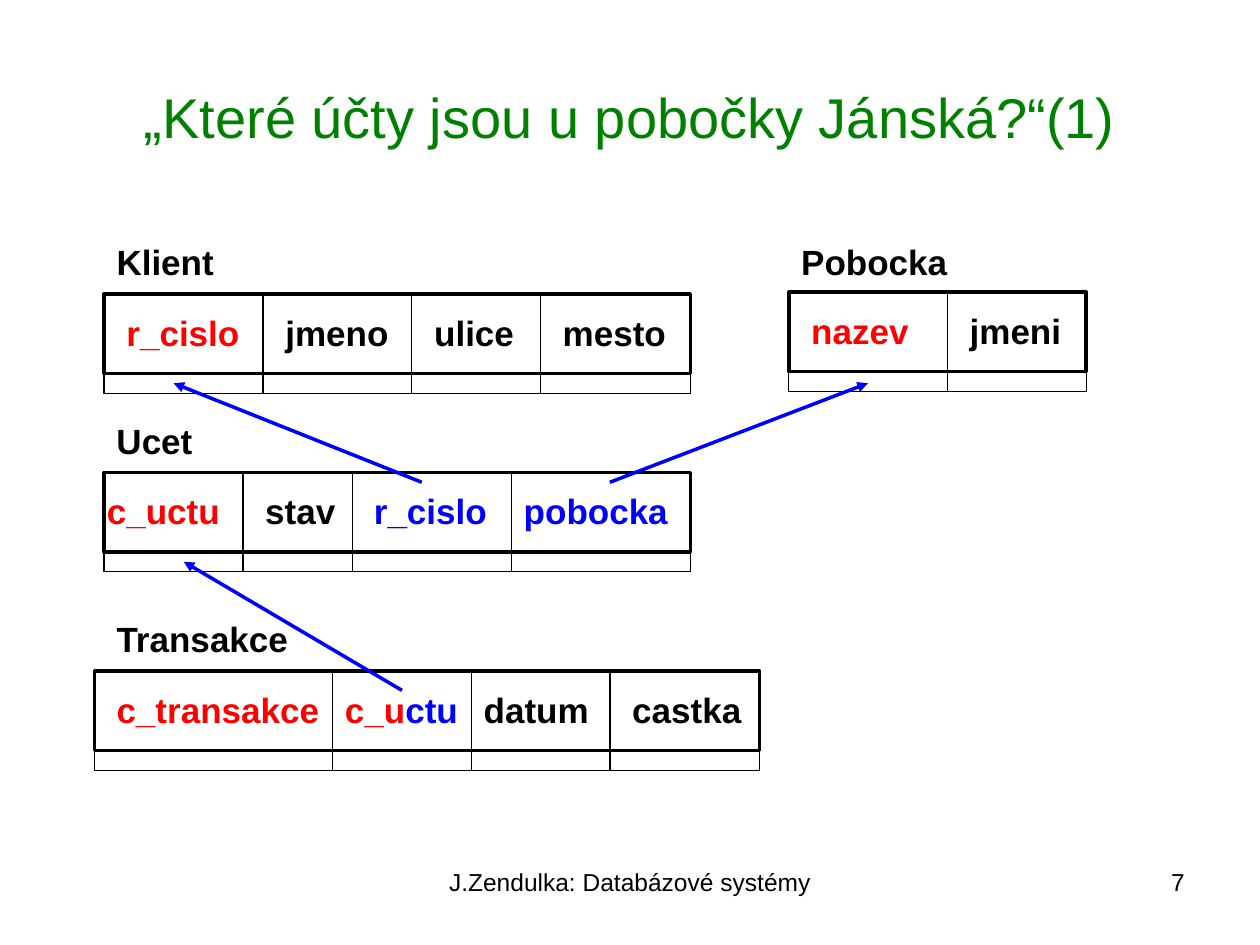
from lxml import etree
from pptx import Presentation
from pptx.dml.color import RGBColor
from pptx.enum.shapes import MSO_CONNECTOR, MSO_SHAPE
from pptx.enum.text import MSO_ANCHOR, MSO_AUTO_SIZE, PP_ALIGN
from pptx.oxml.ns import qn
from pptx.util import Pt

LINE = MSO_CONNECTOR.STRAIGHT
RECT = MSO_SHAPE.RECTANGLE
MIDDLE = MSO_ANCHOR.MIDDLE
GROW = MSO_AUTO_SIZE.SHAPE_TO_FIT_TEXT
LEFT, CENTER, RIGHT = PP_ALIGN.LEFT, PP_ALIGN.CENTER, PP_ALIGN.RIGHT

BLACK, RED, BLUE, GREEN = "000000", "FF0000", "0000FF", "008000"
HEAD, ROW = 45.4, 11.3  # heights of the header and of the empty row
BOLD = {"name": "Arial", "size": Pt(20), "bold": True}
PLAIN = {"name": "Arial", "size": Pt(14), "bold": False}
TITLE = {"name": "Arial", "size": Pt(32), "bold": False}


def color(text):
    return RGBColor.from_string(text)


def write(shape, runs, form, align=LEFT):
    """Fill a shape with one paragraph of (text, colour) runs."""
    para = shape.text_frame.paragraphs[0]
    para.alignment = align
    for text, tint in runs:
        run = para.add_run()
        run.text = text
        run.font.color.rgb = color(tint)
        for key, value in form.items():
            setattr(run.font, key, value)


prs = Presentation()
prs.slide_width, prs.slide_height = Pt(720), Pt(540)
slide = prs.slides.add_slide(prs.slide_layouts[5])
shapes = slide.shapes

title = shapes.title
title.left, title.top, title.width, title.height = Pt(36), Pt(21.6), Pt(648), Pt(90)
title.text_frame.vertical_anchor = MIDDLE
write(title, [("„Které účty jsou u pobočky Jánská?“(1)", GREEN)], TITLE, CENTER)

for text, left, width, align in [
    ("J.Zendulka: Databázové systémy", 246, 228, CENTER),
    ("7", 516, 168, RIGHT),
]:
    box = shapes.add_textbox(Pt(left), Pt(492), Pt(width), Pt(37.4))
    box.text_frame.word_wrap = True
    write(box, [(text, BLACK)], PLAIN, align)

# name, name top, name width, left, top, width, dividers, columns (left, width, runs)
tables = [
    ("Klient", 134, 73.4, 59.5, 168, 335, [150.3, 235.3, 308.8], [
        (65.2, 80, [("r_cislo", RED)]),
        (156, 75, [("jmeno", BLACK)]),
        (241, 62, [("ulice", BLACK)]),
        (314.5, 75, [("mesto", BLACK)])]),
    ("Pobocka", 134, 102.2, 450.7, 167, 170, [541.5], [
        (456.5, 72, [("nazev", RED)]),
        (547, 68, [("jmeni", BLACK)])]),
    ("Ucet", 236, 62.6, 59.5, 270, 335, [138.8, 201.4, 292.2], [
        (54, 80, [("c_uctu", RED)]),
        (144.5, 56, [("stav", BLACK)]),
        (206.6, 80, [("r_cislo", BLUE)]),
        (292.2, 98, [("pobocka", BLUE)])]),
    ("Transakce", 349.5, 118.8, 54, 383.5, 380, [190, 269.3, 348.5], [
        (59.5, 132, [("c_transakce", RED)]),
        (190, 80, [("c_u", RED), ("ctu", BLUE)]),
        (269.3, 76, [("datum", BLACK)]),
        (354.2, 78, [("castka", BLACK)])]),
]

# from x, from y, to x, to y, colour, weight, arrow
lines = []
for name, high, span, left, top, width, cuts, cols in tables:
    for y, height, weight in [(top, HEAD, 2), (top + HEAD, ROW, 0.75)]:
        frame = shapes.add_shape(RECT, Pt(left), Pt(y), Pt(width), Pt(height))
        frame.shadow.inherit = False
        frame.fill.background()
        frame.line.color.rgb = color(BLACK)
        frame.line.width = Pt(weight)
    label = (max(left, 59.5), high, span, [(name, BLACK)], True)
    cells = [(x, top + 6.3, w, runs, False) for x, w, runs in cols]
    for x, y, w, runs, wrap in [label] + cells:
        box = shapes.add_textbox(Pt(x), Pt(y), Pt(w), Pt(31.5))
        box.text_frame.word_wrap = wrap
        box.text_frame.auto_size = GROW
        write(box, runs, BOLD)
    lines += [(x, top, x, top + HEAD + ROW, BLACK, 0.75, False) for x in cuts]

lines += [
    (229.7, 394.5, 105, 321, BLUE, 2, True),
    (241, 275.6, 99.2, 219, BLUE, 2, True),
    (348.5, 275.6, 496, 219, BLUE, 2, True),
]
for x1, y1, x2, y2, tint, weight, arrow in lines:
    link = shapes.add_connector(LINE, Pt(x1), Pt(y1), Pt(x2), Pt(y2))
    link.line.color.rgb = color(tint)
    link.line.width = Pt(weight)
    props = link.element.spPr
    if arrow:
        etree.SubElement(props.find(qn("a:ln")), qn("a:tailEnd"), type="triangle")
    etree.SubElement(props, qn("a:effectLst"))

prs.save("out.pptx")
